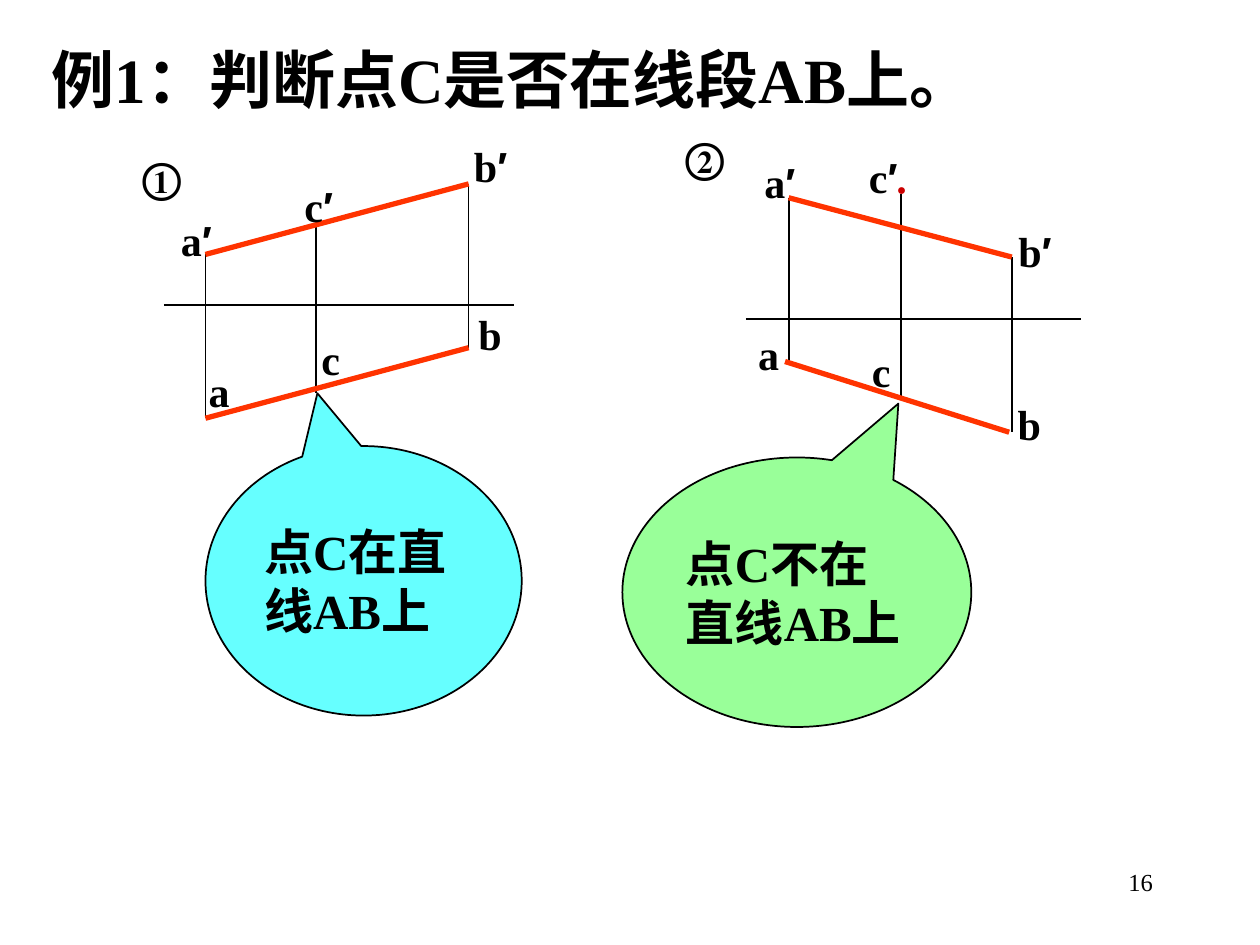
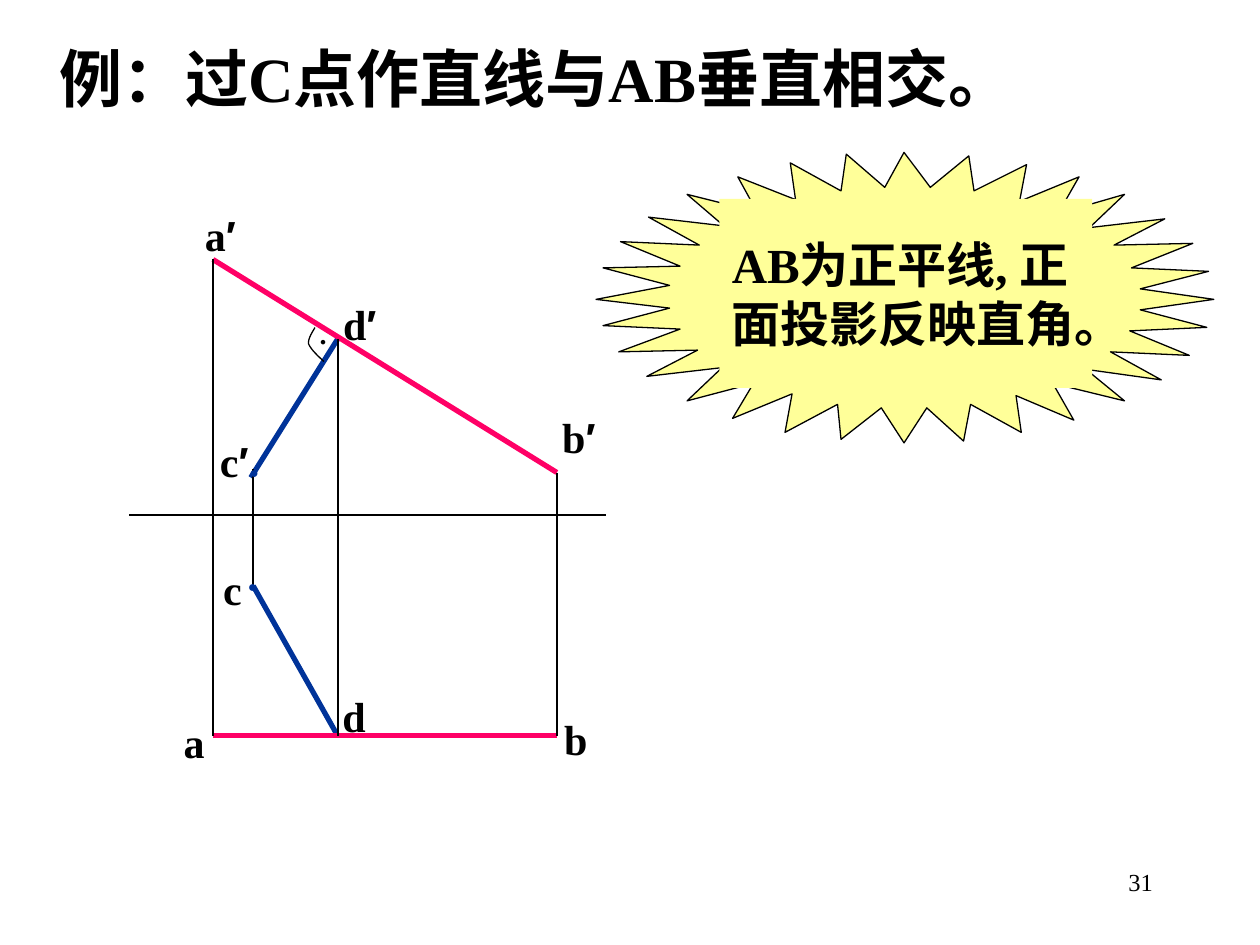
from lxml.etree import SubElement
from pptx import Presentation
from pptx.dml.color import RGBColor
from pptx.enum.shapes import MSO_CONNECTOR as CONNECTOR, MSO_SHAPE as SHAPE
from pptx.enum.text import MSO_ANCHOR as ANCHOR, MSO_AUTO_SIZE as AUTO_SIZE, PP_ALIGN as ALIGN
from pptx.oxml.ns import qn
from pptx.util import Pt

COLOURS = {
    "ink": "000000", "orange": "FF3300", "pink": "FF0066", "blue": "003399",
    "red": "CC0000", "cyan": "66FFFF", "green": "99FF99", "yellow": "FFFF99",
}
SERIF, SANS = "Times New Roman", "Arial"
THIN, MEDIUM, THICK = 0.75, 1, 3
TITLE_ONLY = 5

BURST_POINTS = [
    (0, 84), (42, 89), (4, 99), (48, 101), (13, 114), (58, 113), (29, 128), (72, 123),
    (52, 142), (90, 132), (78, 152), (112, 138), (108, 160), (138, 144), (140, 164), (163, 146),
    (176, 166), (189, 146), (210, 165), (214, 144), (243, 160), (240, 139), (273, 153), (261, 132),
    (302, 142), (280, 124), (323, 130), (294, 114), (339, 116), (305, 102), (349, 100), (311, 90),
    (353, 84), (311, 78), (350, 68), (306, 66), (341, 52), (296, 53), (325, 38), (282, 43),
    (302, 24), (264, 35), (276, 14), (242, 28), (246, 7), (216, 22), (213, 2), (191, 20),
    (176, 0), (165, 20), (143, 1), (140, 22), (111, 6), (114, 27), (81, 14), (92, 34),
    (52, 24), (73, 42), (30, 37), (59, 53), (14, 51), (48, 65), (4, 66), (42, 76),
]


def colour(name):
    return RGBColor.from_string(COLOURS[name])


def write(shape, text, size, align=ALIGN.LEFT, anchor=ANCHOR.MIDDLE, wrap=True, bold=True, ink="ink"):
    """Fill a shape with one paragraph; prime marks get their own sans-serif run."""
    frame = shape.text_frame
    frame.auto_size = AUTO_SIZE.NONE
    frame.word_wrap = wrap
    frame.vertical_anchor = anchor
    paragraph = frame.paragraphs[0]
    paragraph.alignment = align
    letters = text.rstrip("′")
    for part, face in ((letters, SERIF), (text[len(letters):], SANS)):
        if part:
            run = paragraph.add_run()
            run.text = part
            font = run.font
            font.name, font.size, font.bold = face, Pt(size), bold
            font.color.rgb = colour(ink)


def style(shape, fill=None, line=None, width=MEDIUM):
    shape.shadow.inherit = False
    if fill:
        shape.fill.solid()
        shape.fill.fore_color.rgb = colour(fill)
    else:
        shape.fill.background()
    if line:
        shape.line.color.rgb = colour(line)
        shape.line.width = Pt(width)
    else:
        shape.line.fill.background()


def add_outline(slide, box, points, closed, **look):
    vertices = [(Pt(x), Pt(y)) for x, y in points]
    builder = slide.shapes.build_freeform(*vertices[0], scale=1.0)
    builder.add_line_segments(vertices[1:], close=closed)
    shape = builder.convert_to_shape(Pt(box[0]), Pt(box[1]))
    style(shape, **look)


def add_line(slide, box, start, end, line="ink", width=MEDIUM):
    left, top = box
    connector = slide.shapes.add_connector(
        CONNECTOR.STRAIGHT, Pt(left + start[0]), Pt(top + start[1]),
        Pt(left + end[0]), Pt(top + end[1]))
    connector.line.color.rgb = colour(line)
    connector.line.width = Pt(width)
    SubElement(connector._element.spPr, qn("a:effectLst"))


def add_label(slide, box, text, centre, size=24, ink="ink"):
    side = 36
    label = slide.shapes.add_textbox(
        Pt(box[0] + centre[0] - side / 2), Pt(box[1] + centre[1] - side / 2), Pt(side), Pt(side))
    write(label, text, size, ALIGN.CENTER, wrap=False, ink=ink)


def add_slide(presentation, title, title_box, number):
    slide = presentation.slides.add_slide(presentation.slide_layouts[TITLE_ONLY])
    heading = slide.shapes.title
    heading.left, heading.top, heading.width, heading.height = map(Pt, title_box)
    write(heading, title, 36, wrap=False)
    page = slide.shapes.add_textbox(Pt(516), Pt(492), Pt(150), Pt(36))
    write(page, number, 14, ALIGN.RIGHT, ANCHOR.TOP, bold=False)
    return slide


def add_callout(slide, box, tip, fill, text):
    callout = slide.shapes.add_shape(SHAPE.OVAL_CALLOUT, *map(Pt, box))
    callout.adjustments[0], callout.adjustments[1] = tip
    style(callout, fill, "ink")
    write(callout, text, 28)


def add_projection(slide, box, axis, upper, lower, c_line, labels):
    """Two views of segment AB, the axis between them and the lines that join the views."""
    axis_left, axis_right, axis_y = axis
    add_line(slide, box, (axis_left, axis_y), (axis_right, axis_y))
    for top_end, bottom_end in zip(upper, lower):
        add_line(slide, box, top_end, (top_end[0], bottom_end[1]))
    c_x, c_top, c_bottom = c_line
    add_line(slide, box, (c_x, c_top), (c_x, c_bottom))
    for segment in (upper, lower):
        add_line(slide, box, *segment, "orange", THICK)
    for text, centre in labels.items():
        add_label(slide, box, text, centre)


def add_right_angle(slide, box):
    curves = [
        [(4.3, 0), (3.6, 1.4), (0, 6.5), (0.7, 9.4)],
        [(0.7, 9.4), (2.2, 13), (7.2, 17.3), (9.4, 19.4)],
    ]
    steps = 8
    points = []
    for curve in curves:
        for step in range(steps + 1):
            t = step / steps
            weights = ((1 - t) ** 3, 3 * t * (1 - t) ** 2, 3 * t * t * (1 - t), t ** 3)
            points.append(tuple(sum(w * p[i] for w, p in zip(weights, curve)) for i in (0, 1)))
    add_outline(slide, box, points, False, line="ink", width=THIN)
    add_label(slide, box, ".", (9, 3.2), 16)


def add_perpendicular(slide, box):
    """Line CD drawn at right angles to AB, in both views."""
    a_top, b_top, d_top = (47.7, 32.3), (244.2, 154), (119, 77.7)
    c_top, c_bottom = (69.3, 156.9), (70.7, 218.8)
    base = 304.5
    d_bottom = (d_top[0], base)
    add_line(slide, box, c_bottom, d_bottom, "blue", THICK)
    add_line(slide, box, c_top, d_top, "blue", THICK)
    add_line(slide, box, (0, 178.5), (272.3, 178.5))
    for start, end in (((a_top[0], base), (b_top[0], base)), (a_top, b_top)):
        add_line(slide, box, start, end, "pink", THICK)
    for x, y in (a_top, b_top, d_top):
        add_line(slide, box, (x, y), (x, base))
    add_line(slide, box, (c_bottom[0], 151.8), c_bottom)
    labels = {
        "a′": (52, 17.9), "b′": (256.8, 133.8), "c′": (59.9, 147.5), "d′": (131.6, 69),
        "a": (36.9, 308.1), "b": (255, 305.9), "c": (58.8, 220.2), "d": (128.3, 293),
    }
    for text, centre in labels.items():
        add_label(slide, box, text, centre)
    for centre in ((70.4, 219.2), (71.2, 153.6)):
        add_label(slide, box, "●", centre, 9, "blue")
    add_right_angle(slide, (box[0] + 101.7, box[1] + 71.2))


def add_burst(slide, box, text):
    add_outline(slide, box, BURST_POINTS, True, fill="yellow", line="ink", width=THIN)
    panel = slide.shapes.add_shape(
        SHAPE.RECTANGLE, Pt(box[0] + 70.5), Pt(box[1] + 26.6), Pt(213), Pt(108))
    style(panel, "yellow")
    write(panel, text, 28)


def build_point_slide(presentation):
    slide = add_slide(presentation, "例1：判断点C是否在线段AB上。", (22.3, 19.4, 592, 50.4), "16")
    add_callout(slide, (355.7, 261.4, 199.4, 154), (0.291, -0.7), "green", "点C不在直线AB上")
    add_callout(slide, (117.4, 254.9, 180.7, 154), (-0.146, -0.696), "cyan", "点C在直线AB上")
    add_projection(
        slide, (74, 83), (19.6, 219.8, 91.2),
        ((43.4, 62.4), (193.8, 22.1)), ((43.4, 156), (193.8, 115.7)), (106.7, 45.9, 141.6),
        {"①": (18.5, 17.8), "a′": (38.3, 53.8), "b′": (206.4, 12), "c′": (108.2, 34.4),
         "a": (51.3, 140.2), "b": (206.1, 107.8), "c": (115, 122.2)})
    second_box = (384, 71)
    add_projection(
        slide, second_box, (42.2, 233.8, 111.2),
        ((66.7, 42), (194.2, 75.9)), ((64.6, 135.6), (192.7, 176)), (130.8, 39.9, 155.1),
        {"②": (18.8, 18.3), "a′": (61.7, 32.7), "b′": (207.5, 72.3), "c′": (120.7, 29.8),
         "a": (55.2, 131.3), "b": (204.2, 170.9), "c": (119.6, 140.7)})
    add_label(slide, second_box, "●", (131.2, 37.4), 9, "red")


def build_perpendicular_slide(presentation):
    slide = add_slide(presentation, "例：过C点作直线与AB垂直相交。", (26.6, 18.7, 592.6, 50.4), "31")
    add_perpendicular(slide, (74, 116))
    add_burst(slide, (340.6, 87.1), "AB为正平线, 正面投影反映直角。")


def main():
    presentation = Presentation()
    presentation.slide_width, presentation.slide_height = Pt(720), Pt(540)
    build_point_slide(presentation)
    build_perpendicular_slide(presentation)
    presentation.save("out.pptx")


if __name__ == "__main__":
    main()
